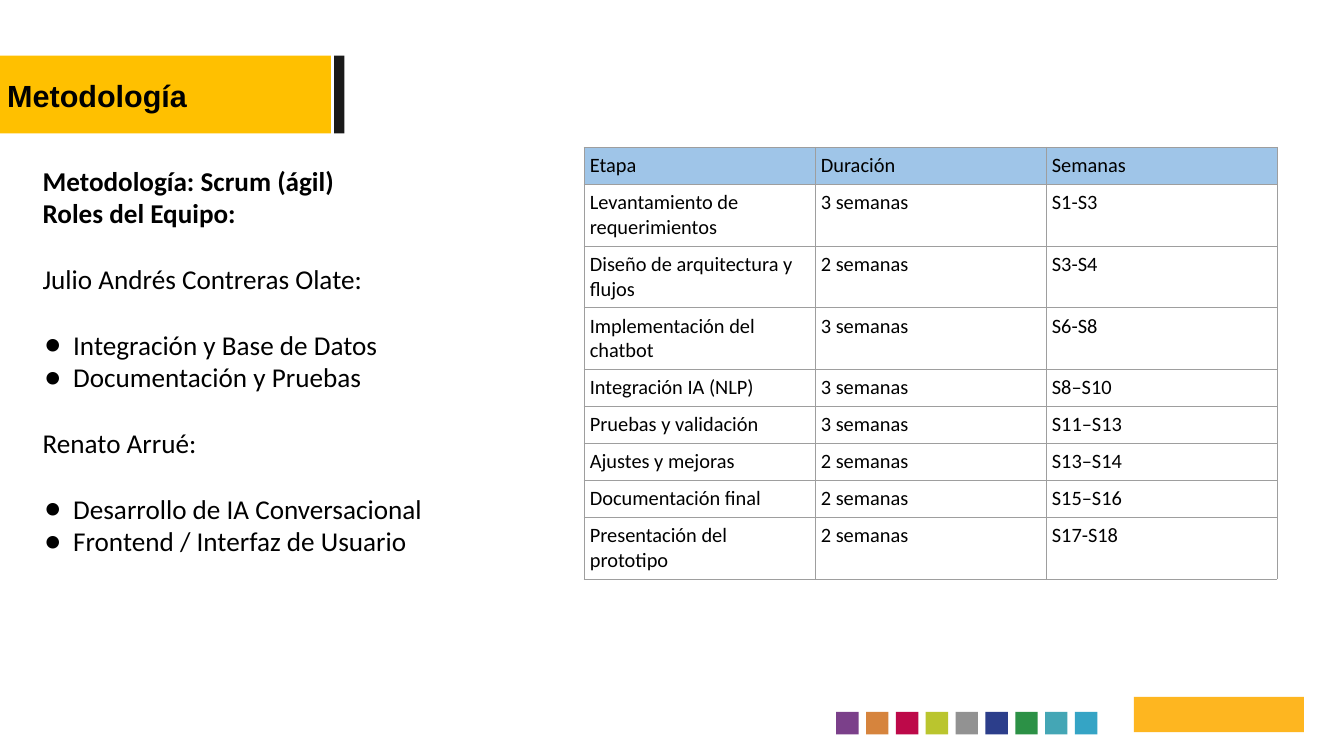
from dataclasses import dataclass

from lxml import etree
from pptx import Presentation
from pptx.dml.color import RGBColor
from pptx.enum.shapes import MSO_SHAPE
from pptx.enum.text import MSO_ANCHOR, MSO_AUTO_SIZE, PP_ALIGN
from pptx.oxml.ns import qn
from pptx.util import Cm, Pt

RECT = MSO_SHAPE.RECTANGLE
LEFT, JUSTIFY = PP_ALIGN.LEFT, PP_ALIGN.JUSTIFY
TOP, MIDDLE = MSO_ANCHOR.TOP, MSO_ANCHOR.MIDDLE
NO_AUTOFIT = MSO_AUTO_SIZE.NONE

BLACK, AMBER, HEADER_BLUE, BORDER_GREY = "000000", "FFC000", "9FC5E8", "9E9E9E"
BLANK_LINE = 39  # points left open between text groups


@dataclass
class Block:
    left: float
    top: float
    width: float
    height: float
    color: str


@dataclass
class Line:
    text: str
    bold: bool = False
    bullet: bool = False
    gap: int = 0


@dataclass
class Stage:
    name: str
    duration: str
    weeks: str
    tall: bool = False


BANNER = [Block(0, 2.31, 13.75, 3.24, AMBER), Block(13.89, 2.31, 0.42, 3.24, "1A1A1A")]
LOGO_BLOCK = Block(47.12, 28.96, 7.06, 1.47, "FEB620")
SQUARE_COLORS = ["7B408A", "D6843D", "BD0949", "BAC52E", "929292",
                 "2C3E8B", "2C9146", "44A6B5", "35A4C5"]
SQUARES = [Block(34.75 + 1.24 * i, 29.59, 0.93, 0.93, color)
           for i, color in enumerate(SQUARE_COLORS)]

LINES = [
    Line("Metodología: Scrum (ágil)", bold=True),
    Line("Roles del Equipo:", bold=True),
    Line("Julio Andrés Contreras Olate:", gap=BLANK_LINE),
    Line("Integración y Base de Datos", bullet=True, gap=BLANK_LINE),
    Line("Documentación y Pruebas", bullet=True),
    Line("Renato Arrué:", gap=BLANK_LINE),
    Line("Desarrollo de IA Conversacional", bullet=True, gap=BLANK_LINE),
    Line("Frontend / Interfaz de Usuario", bullet=True),
]

STAGES = [
    Stage("Etapa", "Duración", "Semanas"),
    Stage("Levantamiento de requerimientos", "3 semanas", "S1-S3", tall=True),
    Stage("Diseño de arquitectura y flujos", "2 semanas", "S3-S4", tall=True),
    Stage("Implementación del chatbot", "3 semanas", "S6-S8", tall=True),
    Stage("Integración IA (NLP)", "3 semanas", "S8–S10"),
    Stage("Pruebas y validación", "3 semanas", "S11–S13"),
    Stage("Ajustes y mejoras", "2 semanas", "S13–S14"),
    Stage("Documentación final", "2 semanas", "S15–S16"),
    Stage("Presentación del prototipo", "2 semanas", "S17-S18", tall=True),
]


def rgb(color: str) -> RGBColor:
    return RGBColor.from_string(color)


def write(p, text: str, size=24, font="Calibri", color=BLACK, bold=False,
          align=LEFT, before=0) -> None:
    p.alignment = align
    p.space_before = Pt(before)
    r = p.add_run()
    r.text = text
    r.font.name, r.font.size, r.font.bold = font, Pt(size), bold
    r.font.color.rgb = rgb(color)


def add_block(s, block: Block):
    sp = s.shapes.add_shape(RECT, Cm(block.left), Cm(block.top),
                            Cm(block.width), Cm(block.height))
    sp.shadow.inherit = False
    sp.fill.solid()
    sp.fill.fore_color.rgb = rgb(block.color)
    sp.line.fill.background()
    return sp


def place(sp, left: float, top: float, width: float, height: float,
          margins: tuple[float, float], anchor):
    sp.left, sp.top, sp.width, sp.height = Cm(left), Cm(top), Cm(width), Cm(height)
    tf = sp.text_frame
    tf.word_wrap, tf.auto_size, tf.vertical_anchor = True, NO_AUTOFIT, anchor
    tf.margin_left = tf.margin_right = Cm(margins[0])
    tf.margin_top = tf.margin_bottom = Cm(margins[1])
    return tf


def set_bullet(p, bullet: bool) -> None:
    pPr = p._p.get_or_add_pPr()
    pPr.set("marL", str(Cm(1.27) if bullet else 0))
    pPr.set("indent", str(Cm(-1.19) if bullet else 0))
    if not bullet:
        etree.SubElement(pPr, qn("a:buNone"))
        return
    clr = etree.SubElement(pPr, qn("a:buClr"))
    etree.SubElement(clr, qn("a:srgbClr"), val=BLACK)
    etree.SubElement(pPr, qn("a:buFont"), typeface="Calibri")
    etree.SubElement(pPr, qn("a:buChar"), char="●")


def set_borders(cell) -> None:
    tcPr = cell._tc.get_or_add_tcPr()
    for i, side in enumerate(("lnL", "lnR", "lnT", "lnB")):
        ln = etree.Element(qn(f"a:{side}"), w=str(Pt(0.75)))
        fill = etree.SubElement(ln, qn("a:solidFill"))
        etree.SubElement(fill, qn("a:srgbClr"), val=BORDER_GREY)
        tcPr.insert(i, ln)


def add_stage_table(s, stages: list[Stage]) -> None:
    heights = [Cm(2.54 if stage.tall else 1.52) for stage in stages]
    table = s.shapes.add_table(len(stages), 3, Cm(24.26), Cm(6.12),
                               Cm(28.8), sum(heights)).table
    table.horz_banding = table.first_row = False
    for col in table.columns:
        col.width = Cm(9.6)
    for i, stage in enumerate(stages):
        table.rows[i].height = heights[i]
        for j, text in enumerate((stage.name, stage.duration, stage.weeks)):
            cell = table.cell(i, j)
            cell.margin_left = cell.margin_right = Cm(0.25)
            cell.margin_top = cell.margin_bottom = Cm(0.25)
            if i == 0:
                cell.fill.solid()
                cell.fill.fore_color.rgb = rgb(HEADER_BLUE)
            else:
                cell.fill.background()
            set_borders(cell)
            write(cell.text_frame.paragraphs[0], text)


def main() -> None:
    prs = Presentation()
    prs.slide_width, prs.slide_height = Cm(55.85), Cm(31.42)
    s = prs.slides.add_slide(prs.slide_layouts[1])
    title, body = s.placeholders[0], s.placeholders[1]

    # Banner behind the title, footer squares and logo block
    for block in BANNER:
        sp = add_block(s, block)
        title._element.addprevious(sp._element)
    for block in [*SQUARES, LOGO_BLOCK]:
        add_block(s, block)

    # Title
    tf = place(title, 0.3, 3.2, 13.5, 1.55, (0, 0), MIDDLE)
    write(tf.paragraphs[0], "Metodología", size=36, font="Arial", bold=True)

    # Team roles
    tf = place(body, 1.52, 6.68, 25.12, 16.66, (0.25, 0.13), TOP)
    for i, line in enumerate(LINES):
        p = tf.add_paragraph() if i else tf.paragraphs[0]
        set_bullet(p, line.bullet)
        write(p, line.text, size=32, bold=line.bold, align=JUSTIFY, before=line.gap)

    # Schedule
    add_stage_table(s, STAGES)
    prs.save("out.pptx")


if __name__ == "__main__":
    main()
